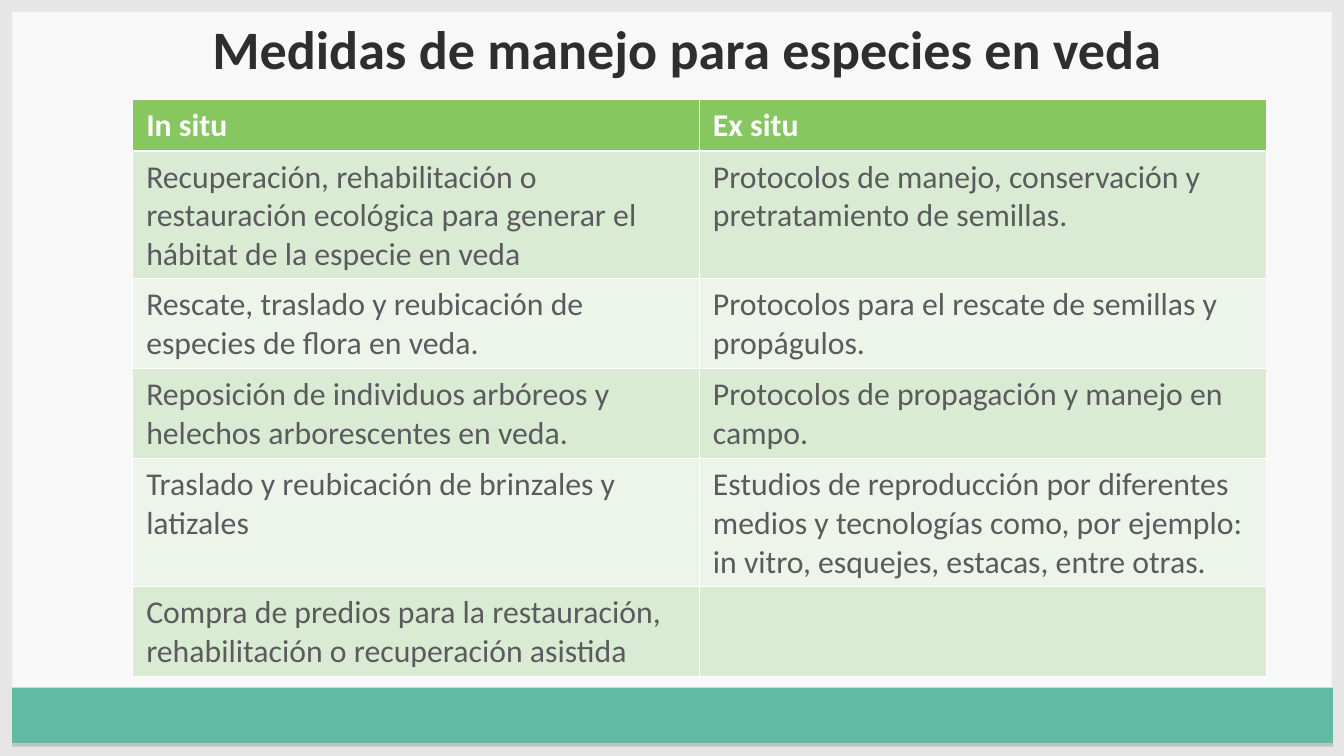
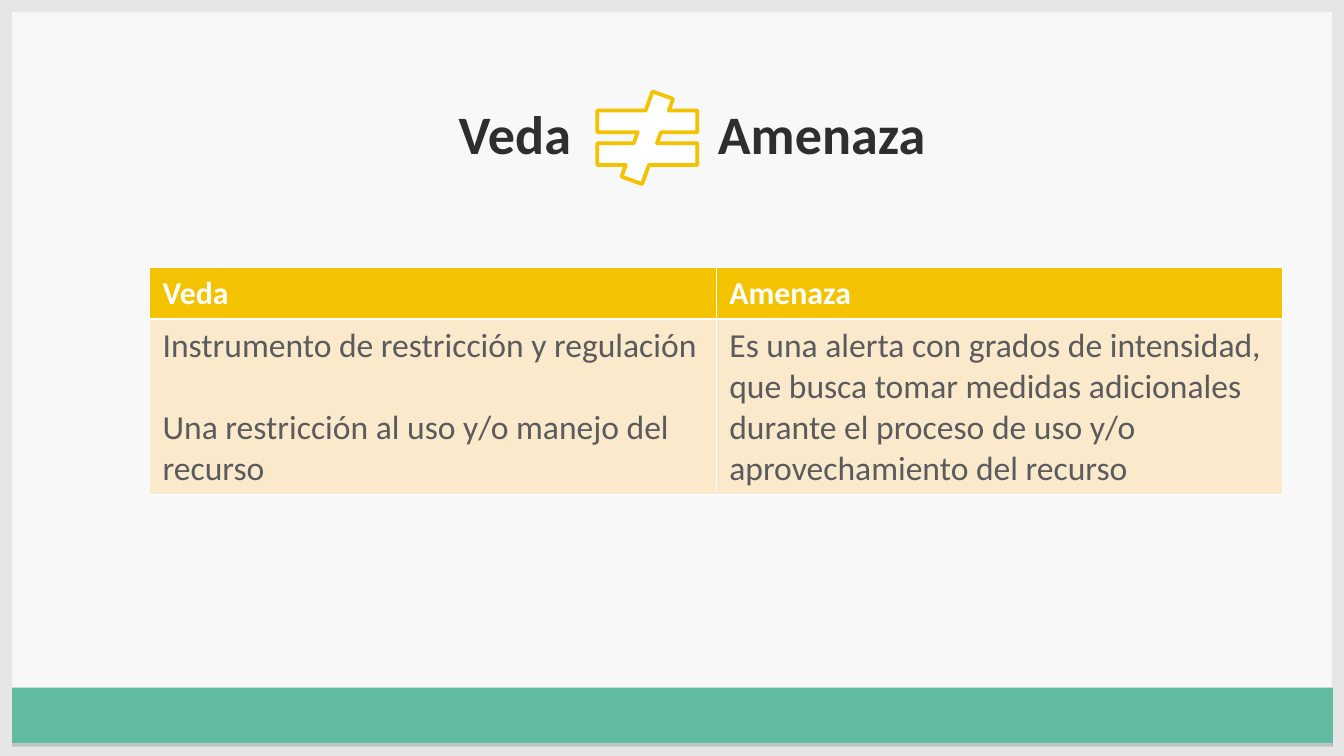
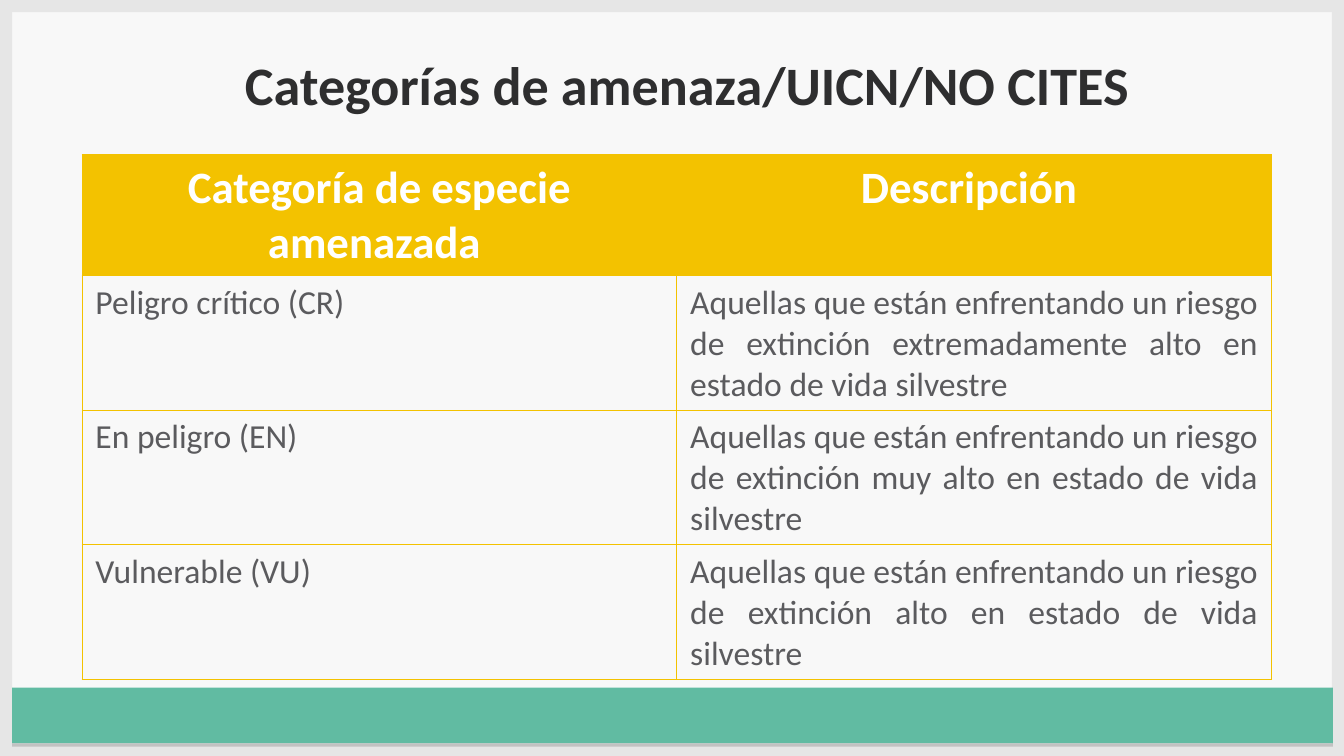
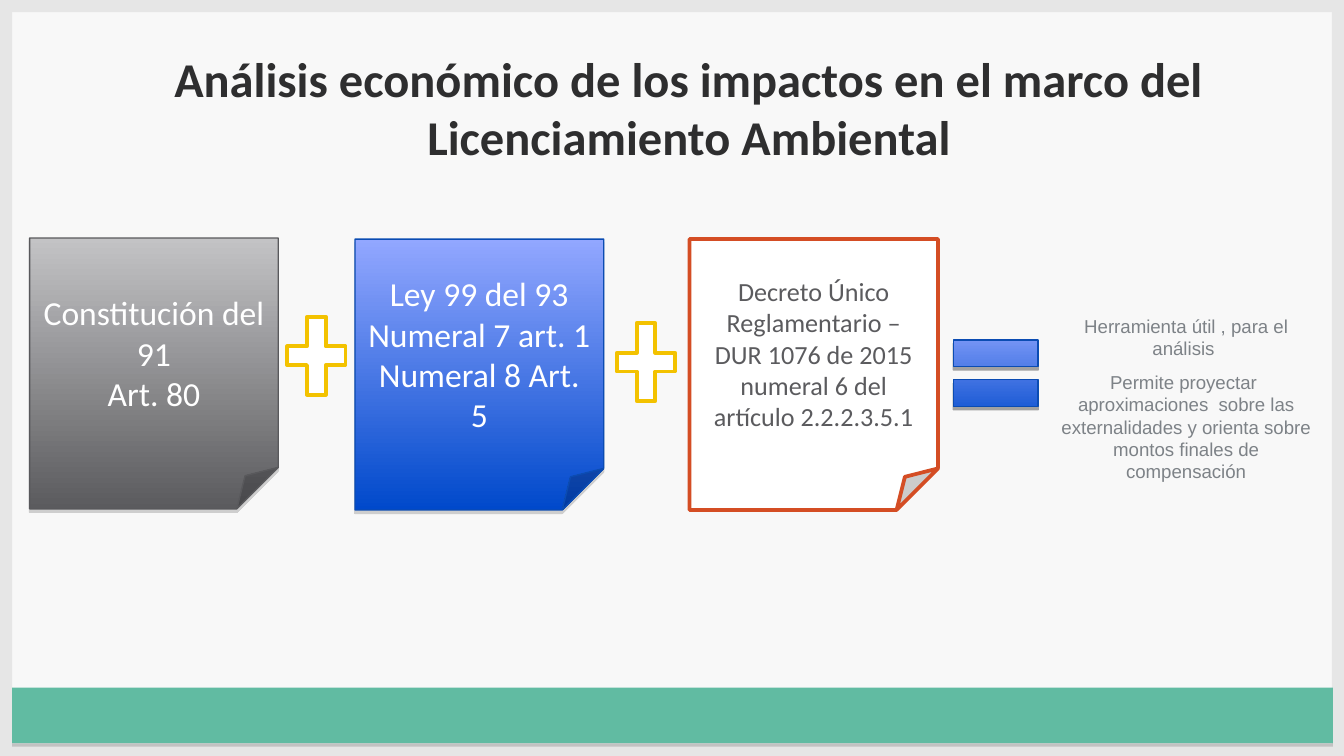
from lxml import etree
from pptx import Presentation
from pptx.dml.color import RGBColor
from pptx.enum.shapes import MSO_SHAPE as Shape
from pptx.enum.text import MSO_ANCHOR as Anchor, PP_ALIGN as Align
from pptx.oxml.ns import qn
from pptx.util import Cm, Pt

BACKGROUND = RGBColor(0xF8, 0xF8, 0xF8)
FRAME = RGBColor(0xE6, 0xE6, 0xE6)
TEAL = RGBColor(0x61, 0xBB, 0xA2)
INK = RGBColor(0x2E, 0x2E, 0x2F)
TEXT = RGBColor(0x5B, 0x5B, 0x5E)
CAPTION = RGBColor(0x7D, 0x82, 0x87)
WHITE = RGBColor(0xFF, 0xFF, 0xFF)
GREEN = RGBColor(0x86, 0xC7, 0x60)
GREEN_MID = RGBColor(0xD9, 0xEB, 0xD2)
GREEN_PALE = RGBColor(0xED, 0xF5, 0xEA)
YELLOW = RGBColor(0xF3, 0xC2, 0x00)
CREAM = RGBColor(0xFA, 0xE9, 0xCB)
ORANGE = RGBColor(0xD4, 0x4D, 0x24)
GREY_LINE = RGBColor(0x59, 0x59, 0x5C)
BLUE_LINE = RGBColor(0x0B, 0x4C, 0xB3)
GREY_FADE = [RGBColor(0xC3, 0xC3, 0xC5), TEXT]
BLUE_FADE = [RGBColor(0x92, 0xA7, 0xFF), RGBColor(0x00, 0x49, 0xCB)]

SLIDE_W, SLIDE_H, EDGE = 25.4, 14.29, 0.23
BAND = (EDGE, 13, 24.96, 1.05)
TITLE_X, TITLE_W, TITLE_H = 1.12, 23.98, 2.24

MEASURES = {
    "title": "Medidas de manejo para especies en veda ",
    "title_y": 0.13,
    "at": (2.51, 1.88),
    "col_w": 10.71,
    "heights": [0.97, 2.41, 1.7, 1.7, 2.41, 1.7],
    "rows": [
        ("In situ", "Ex situ"),
        ("Recuperación, rehabilitación o restauración ecológica para generar el hábitat de la especie en veda ",
         "Protocolos de manejo, conservación y pretratamiento de semillas. "),
        ("Rescate, traslado y reubicación de especies de flora en veda. ",
         "Protocolos para el rescate de semillas y propágulos."),
        ("Reposición de individuos arbóreos y helechos arborescentes en veda. ",
         "Protocolos de propagación y manejo en campo. "),
        ("Traslado y reubicación de brinzales y latizales ",
         "Estudios de reproducción por diferentes medios y tecnologías como, por ejemplo: "
         "in vitro, esquejes, estacas, entre otras. "),
        ("Compra de predios para la restauración, rehabilitación o recuperación asistida", ""),
    ],
    "look": {"head": GREEN, "bands": (GREEN_MID, GREEN_PALE), "border": WHITE, "rule": 1.47,
             "head_size": 17, "size": 17, "head_align": Align.LEFT, "align": Align.LEFT},
}

COMPARISON = {
    "title": "Veda\tAmenaza",
    "title_y": 1.73,
    "title_inset": 7.55,
    "title_tab": 4.9,
    "sign": (10.95, 1.73, 2.57, 1.75),
    "at": (2.82, 5.05),
    "col_w": 10.71,
    "heights": [0.97, 3.3],
    "rows": [
        ("Veda", "Amenaza"),
        ("Instrumento de restricción y regulación\nUna restricción al uso y/o manejo del recurso",
         "Es una alerta con grados de intensidad, que busca tomar medidas adicionales "
         "durante el proceso de uso y/o aprovechamiento del recurso"),
    ],
    "look": {"head": YELLOW, "bands": (CREAM,), "border": WHITE, "rule": 1.47,
             "head_size": 17, "size": 18, "head_align": Align.LEFT, "align": Align.LEFT, "gap": 22},
}

CATEGORIES = {
    "title": "Categorías de amenaza/UICN/NO CITES ",
    "title_y": 0.81,
    "at": (1.55, 2.92),
    "col_w": 11.24,
    "heights": [2.29, 2.54, 2.54, 2.54],
    "rows": [
        ("Categoría de especie amenazada ", "Descripción "),
        ("Peligro crítico (CR) ",
         "Aquellas que están enfrentando un riesgo de extinción extremadamente alto en estado de vida silvestre  "),
        ("En peligro (EN) ",
         "Aquellas que están enfrentando un riesgo de extinción muy alto en estado de vida silvestre  "),
        ("Vulnerable (VU) ",
         "Aquellas que están enfrentando un riesgo de extinción alto en estado de vida silvestre  "),
    ],
    "look": {"head": YELLOW, "bands": (None,), "border": YELLOW, "rule": 0.45,
             "head_size": 24, "size": 18, "head_align": Align.CENTER, "align": Align.JUSTIFY},
}

ANALYSIS_TITLE = "Análisis económico de los impactos en el marco del Licenciamiento Ambiental"
NOTE_W, NOTE_H = 4.7, 5.12
NOTES = [
    (0.56, 4.5, GREY_FADE, GREY_LINE, 0.75, True, 18, WHITE, ["Constitución del 91", "Art. 80"]),
    (6.71, 4.52, BLUE_FADE, BLUE_LINE, 0.75, True, 18, WHITE,
     ["Ley 99 del 93", "Numeral 7 art. 1", "Numeral 8 Art. 5"]),
    (13.03, 4.52, WHITE, ORANGE, 2, False, 14, TEXT,
     ["Decreto Único Reglamentario – DUR 1076 de 2015", "numeral 6 del artículo 2.2.2.3.5.1"]),
]
PLUSES = [(5.23, 5.72), (11.46, 5.84)]
PLUS_W, PLUS_H = 1.5, 2.01
EQUAL = (17.73, 5.99, 2.18, 2.13)
RESULT_BOX = (19.81, 5.82, 5.21, 3.43)
RESULT = [
    "Herramienta útil , para el análisis ",
    "Permite proyectar  aproximaciones  sobre las externalidades y orienta sobre montos finales de compensación",
]


def set_attrs(obj, values):
    for name, value in values.items():
        setattr(obj, name, value)


def write(tf, lines, size, color, align=Align.CENTER, bold=False, font="Calibri", before=0, after=0):
    for i, line in enumerate(lines):
        p = tf.paragraphs[0] if i == 0 else tf.add_paragraph()
        set_attrs(p, {"alignment": align, "space_before": Pt(before if i else 0), "space_after": Pt(after)})
        r = p.add_run()
        r.text = line
        set_attrs(r.font, {"name": font, "size": Pt(size), "bold": bold})
        r.font.color.rgb = color


def add_shadow(sp, color):
    effects = sp._element.spPr.find(qn("a:effectLst"))
    shadow = etree.SubElement(effects, qn("a:outerShdw"), blurRad="0", dist=str(Pt(1.8)),
                              dir="5400000", rotWithShape="0")
    tint = etree.SubElement(shadow, qn("a:srgbClr"), val=color)
    etree.SubElement(tint, qn("a:alpha"), val="35000")


def add_shape(slide, kind, box, fill, line=None, width=0.75, shadow=None):
    sp = slide.shapes.add_shape(kind, *map(Cm, box))
    sp.shadow.inherit = False
    if isinstance(fill, list):
        sp.fill.gradient()
        sp.fill.gradient_angle = 270
        for stop, color in zip(sp.fill.gradient_stops, fill):
            stop.color.rgb = color
    else:
        sp.fill.solid()
        sp.fill.fore_color.rgb = fill
    if line is None:
        sp.line.fill.background()
    else:
        sp.line.color.rgb = line
        sp.line.width = Pt(width)
    if shadow:
        add_shadow(sp, shadow)
    return sp


def add_textbox(slide, box):
    tf = slide.shapes.add_textbox(*map(Cm, box)).text_frame
    tf.word_wrap = True
    return tf


def add_title(slide, text, y, x=TITLE_X, w=TITLE_W, size=29, inset=None, tab=None):
    tf = add_textbox(slide, (x, y, w, TITLE_H))
    tf.margin_top = Cm(0.16)
    if tab:
        tf.margin_left = Cm(inset)
        tabs = etree.SubElement(tf.paragraphs[0]._p.get_or_add_pPr(), qn("a:tabLst"))
        etree.SubElement(tabs, qn("a:tab"), pos=str(Cm(tab)), algn="l")
    write(tf, [text], size, INK, Align.LEFT if tab else Align.CENTER, bold=True)


def new_slide(prs):
    slide = prs.slides.add_slide(prs.slide_layouts[6])
    slide.background.fill.solid()
    slide.background.fill.fore_color.rgb = BACKGROUND
    for box in [(0, 0, SLIDE_W, EDGE), (0, SLIDE_H - EDGE, SLIDE_W, EDGE),
                (0, 0, EDGE, SLIDE_H), (SLIDE_W - EDGE, 0, EDGE, SLIDE_H)]:
        add_shape(slide, Shape.RECTANGLE, box, FRAME)
    add_shape(slide, Shape.RECTANGLE, BAND, TEAL, shadow="808080")
    return slide


def set_borders(cell, color, widths):
    tc_pr = cell._tc.get_or_add_tcPr()
    for side, width in zip("LRTB", widths):
        ln = etree.SubElement(tc_pr, qn(f"a:ln{side}"), w=str(Pt(width)))
        fill = etree.SubElement(ln, qn("a:solidFill"))
        etree.SubElement(fill, qn("a:srgbClr"), val=str(color))


def add_table(slide, data):
    rows, look, heights = data["rows"], data["look"], data["heights"]
    x, y = data["at"]
    cols = len(rows[0])
    table = slide.shapes.add_table(len(rows), cols, Cm(x), Cm(y),
                                   Cm(cols * data["col_w"]), Cm(sum(heights))).table
    for col in table.columns:
        col.width = Cm(data["col_w"])
    for i, (row, height) in enumerate(zip(rows, heights)):
        table.rows[i].height = Cm(height)
        head = i == 0
        fill = look["head"] if head else look["bands"][(i - 1) % len(look["bands"])]
        top = look["rule"] if i == 1 else 0.45
        bottom = look["rule"] if head else 0.45
        for j, text in enumerate(row):
            cell = table.cell(i, j)
            set_borders(cell, look["border"], (0.45, 0.45, top, bottom))
            if fill is None:
                cell.fill.background()
            else:
                cell.fill.solid()
                cell.fill.fore_color.rgb = fill
            if text:
                write(cell.text_frame, text.split("\n"), look["head_size" if head else "size"],
                      WHITE if head else TEXT, look["head_align" if head else "align"],
                      bold=head, before=look.get("gap", 0))


def table_slide(prs, data):
    slide = new_slide(prs)
    add_title(slide, data["title"], data["title_y"],
              inset=data.get("title_inset"), tab=data.get("title_tab"))
    add_table(slide, data)
    if "sign" in data:
        add_shape(slide, Shape.MATH_NOT_EQUAL, data["sign"], WHITE, YELLOW, 2)


def analysis_slide(prs):
    slide = new_slide(prs)
    add_title(slide, ANALYSIS_TITLE, 0.76, x=2.49, w=21.08, size=26)
    for x, y, fill, line, width, shaded, size, color, lines in NOTES:
        sp = add_shape(slide, Shape.FOLDED_CORNER, (x, y, NOTE_W, NOTE_H), fill, line, width,
                       "808080" if shaded else None)
        set_attrs(sp.text_frame, {"word_wrap": True, "vertical_anchor": Anchor.MIDDLE})
        write(sp.text_frame, lines, size, color)
    for x, y in PLUSES:
        add_shape(slide, Shape.MATH_PLUS, (x, y, PLUS_W, PLUS_H), WHITE, YELLOW, 2)
    add_shape(slide, Shape.MATH_EQUAL, EQUAL, BLUE_FADE, BLUE_LINE, shadow="000000")
    write(add_textbox(slide, RESULT_BOX), RESULT, 10, CAPTION, font="Arial", after=6)


def main():
    prs = Presentation()
    prs.slide_width, prs.slide_height = Cm(SLIDE_W), Cm(SLIDE_H)
    for data in (MEASURES, COMPARISON, CATEGORIES):
        table_slide(prs, data)
    analysis_slide(prs)
    prs.save("out.pptx")


if __name__ == "__main__":
    main()
